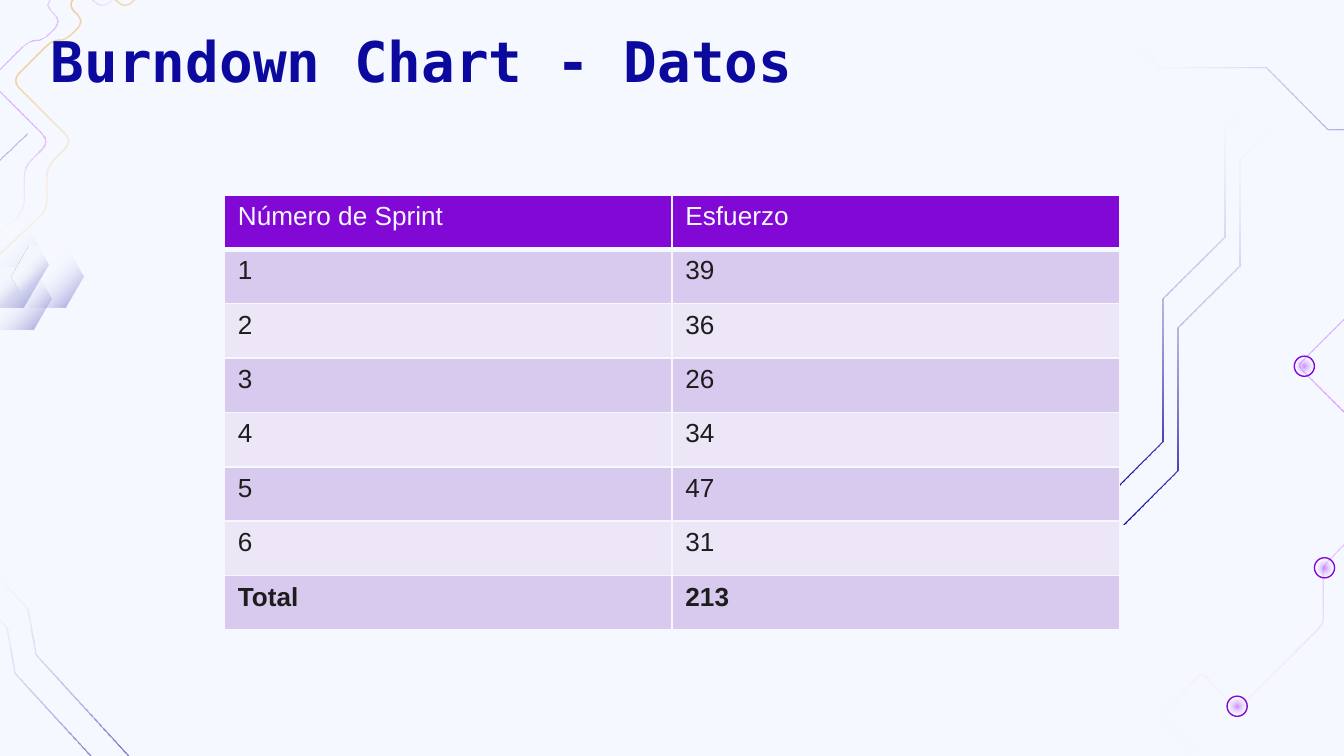
import math
from dataclasses import dataclass

from pptx import Presentation
from pptx import util as u
from pptx.dml.color import RGBColor
from pptx.enum import shapes, text
from pptx.oxml import parse_xml
from pptx.oxml.ns import nsdecls, qn


@dataclass(frozen=True)
class Theme:
    back: str = "F5F8FF"
    navy: str = "0C0A9E"
    head: str = "8208D5"
    ink: str = "1D1D1D"
    bands: tuple = ("D8CAEF", "ECE6F7")
    mono: str = "DejaVu Sans Mono"
    sans: str = "Arial"
    big: int = 30
    body: int = 14


T = Theme()
CLEAR = (100, "FFFFFF", 0)

# Gradient stops: position, colour, opacity
NAVY = [(0, T.navy, 100), CLEAR]
PALE = [(0, T.navy, 36), CLEAR]
PINK = [(0, "9900FF", 45), CLEAR]
GOLD = [(0, "EB9109", 100), (40, "FF9900", 40), CLEAR]
ICE = [(0, T.back, 100), (22, T.back, 100), (45, "FFFFFF", 0), (100, T.navy, 49)]

# Circuit paths, relative to their boxes
STEP = [(0, 3.09), (.4, 2.69), (.4, 1.63), (.86, 1.17), (.86, .38),
        (1.11, .13), (1.55, .13), (1.55, 0)]
FOOT = [(1.35, 2.12), (1.26, 1.65), (.43, .74), (.37, .4), (0, 0)]
WAVE = [(.58, 0), (1.1, .53), (.93, .7), (.69, .47), (.5, .67), (.63, .79),
        (.49, .93), (.39, .93), (.09, 1.23), (.54, 1.68), (.35, 1.87),
        (.35, 2.19), (0, 2.52)]
CHAIN = [(3.45, 0), (2.82, .63), (3.16, .98), (2.07, 2.08), (1.72, 1.72),
         (1.02, 2.42), (1.85, 3.25), (1.21, 3.91), (1.21, 4.34), (.57, 4.98),
         (.31, 4.7), (0, 5.02), (.26, 5.28), (.12, 5.42), (.25, 5.55)]
HOOK = [(0, 0), (0, .52), (.23, .52), (.23, 1.09), (.53, .8)]


def rgb(code):
    return RGBColor.from_string(code)


def shade(shape, stops, angle=None):
    """Fill with a linear gradient, or a round one if no angle is given."""
    shape.shadow.inherit = False
    shape.line.fill.background()
    shape.fill.gradient()
    marks = "".join(
        f'<a:gs pos="{pos * 1000}"><a:srgbClr val="{code}">'
        f'<a:alpha val="{alpha * 1000}"/></a:srgbClr></a:gs>'
        for pos, code, alpha in stops)
    if angle is None:
        way = ('<a:path path="circle"><a:fillToRect l="50000" t="50000" '
               'r="50000" b="50000"/></a:path>')
    else:
        way = f'<a:lin ang="{angle * 60000}" scaled="0"/>'
    props = shape._element.spPr
    props.replace(props.find(qn("a:gradFill")), parse_xml(
        f'<a:gradFill {nsdecls("a")} rotWithShape="1">'
        f'<a:gsLst>{marks}</a:gsLst>{way}</a:gradFill>'))


def outline(slide, x, y, points):
    spots = [(u.Inches(x + px), u.Inches(y + py)) for px, py in points]
    pen = slide.shapes.build_freeform(*spots[0], scale=1.0)
    pen.add_line_segments(spots[1:], close=True)
    return pen.convert_to_shape()


def soften(points, cut):
    """Replace each corner by a short curve."""
    out = [points[0]]
    for prev, here, after in zip(points, points[1:], points[2:]):
        ends = []
        for other in (prev, after):
            part = min(cut / math.dist(here, other), .45)
            ends.append([h + (o - h) * part for h, o in zip(here, other)])
        for t in (0, .25, .5, .75, 1):
            out.append(tuple((1 - t) ** 2 * a + 2 * t * (1 - t) * h + t * t * b
                             for a, h, b in zip(ends[0], here, ends[1])))
    return out + [points[-1]]


def trace(slide, x, y, points, stops, angle=None, cut=0, width=.01):
    """Draw a path as a thin ribbon, so that it can hold a gradient."""
    if cut:
        points = soften(points, cut)
    turns = [math.atan2(b[1] - a[1], b[0] - a[0])
             for a, b in zip(points, points[1:])]
    left, right = [], []
    for (px, py), a, b in zip(points, turns[:1] + turns, turns + turns[-1:]):
        half = math.remainder(b - a, math.tau) / 2
        reach = width / 2 / math.cos(half)
        dx, dy = -math.sin(a + half) * reach, math.cos(a + half) * reach
        left.append((px + dx, py + dy))
        right.append((px - dx, py - dy))
    shade(outline(slide, x, y, left + right[::-1]), stops, angle)


def node(slide, x, y, size=.15):
    """A ring with a glowing core."""
    for gap in (0, .02):
        side = u.Inches(size - 2 * gap)
        dot = slide.shapes.add_shape(shapes.MSO_SHAPE.OVAL, u.Inches(x + gap),
                                     u.Inches(y + gap), side, side)
        if gap:
            shade(dot, PINK)
        else:
            dot.shadow.inherit = False
            dot.fill.background()
            dot.line.color.rgb = rgb(T.head)
            dot.line.width = u.Pt(.75)


def hexagon(slide, x, y, w, h):
    points = [(w / 4, 0), (w * 3 / 4, 0), (w, h / 2),
              (w * 3 / 4, h), (w / 4, h), (0, h / 2)]
    shade(outline(slide, x, y, points), ICE, 45)


def right_side(slide, x, y):
    for dx, dy in ((.11, .51), (0, .29)):
        trace(slide, x + dx, y + dy, STEP, NAVY, 270)
    turned = [(py, 1.55 - px) for px, py in STEP]
    trace(slide, x, y - .49, turned, NAVY, 180)
    trace(slide, x + .38, y, CHAIN, PINK, cut=.04)
    for dx, dy in ((.88, 4.88), (1.53, 3.85), (1.38, 2.35)):
        node(slide, x + dx, y + dy)


def left_side(slide, x, y):
    for dx, dy in ((.22, 4.76), (.06, 4.9)):
        trace(slide, x + dx, y + dy, FOOT, NAVY, 228)
    for dx, dy, w, h in ((0, 2.28, .74, .64), (.23, 2.62, .53, .46),
                         (.47, 2.46, .53, .46)):
        hexagon(slide, x + dx, y + dy, w, h)
    trace(slide, x + .38, y, WAVE, GOLD, 45, cut=.08)
    trace(slide, x + .21, y, WAVE, PINK, cut=.08)
    trace(slide, x + .05, y + .82, HOOK, PALE, 225)


def write(frame, words, font, size, color, bold=False):
    run = frame.paragraphs[0].add_run()
    run.text = words
    run.font.name, run.font.size = font, u.Pt(size)
    run.font.color.rgb, run.font.bold = rgb(color), bold


def title(slide, x, y, w, h):
    frame = slide.shapes.add_textbox(*map(u.Inches, (x, y, w, h))).text_frame
    frame.word_wrap = True
    frame.vertical_anchor = text.MSO_ANCHOR.TOP
    frame.margin_left = frame.margin_right = u.Inches(.1)
    frame.margin_top = frame.margin_bottom = u.Inches(.1)
    write(frame, "Burndown Chart - Datos", T.mono, T.big, T.navy, True)


def border(cell, low):
    """Pale lines on all sides; low is the width of the bottom one."""
    props = cell._tc.get_or_add_tcPr()
    for side, size in (("L", 1), ("R", 1), ("T", 1), ("B", low)):
        props.append(parse_xml(
            f'<a:ln{side} {nsdecls("a")} w="{u.Pt(size)}"><a:solidFill>'
            f'<a:srgbClr val="{T.back}"/></a:solidFill></a:ln{side}>'))


def sprints(slide, x, y, w, h):
    work = [39, 36, 26, 34, 47, 31]
    rows = [("Número de Sprint", "Esfuerzo"), *enumerate(work, 1),
            ("Total", sum(work))]
    grid = slide.shapes.add_table(len(rows), 2,
                                  *map(u.Inches, (x, y, w, h))).table
    for r, row in enumerate(rows):
        top, last = r == 0, r == len(rows) - 1
        for c, value in enumerate(row):
            cell = grid.cell(r, c)
            border(cell, 3 if top else 1)
            cell.fill.solid()
            cell.fill.fore_color.rgb = rgb(T.head if top else T.bands[(r - 1) % 2])
            write(cell.text_frame, str(value), T.sans, T.body,
                  T.back if top else T.ink, last)


def main():
    deck = Presentation()
    deck.slide_width = u.Inches(10)
    deck.slide_height = deck.slide_width * 9 // 16
    slide = deck.slides.add_slide(deck.slide_layouts[6])
    slide.background.fill.solid()
    slide.background.fill.fore_color.rgb = rgb(T.back)
    # Circuit decoration
    right_side(slide, 8.25, .3)
    left_side(slide, -.38, -.63)
    # Content
    title(slide, .28, .1, 8.43, .63)
    sprints(slide, 1.67, 1.45, 6.66, 3.24)
    deck.save("out.pptx")


if __name__ == "__main__":
    main()
